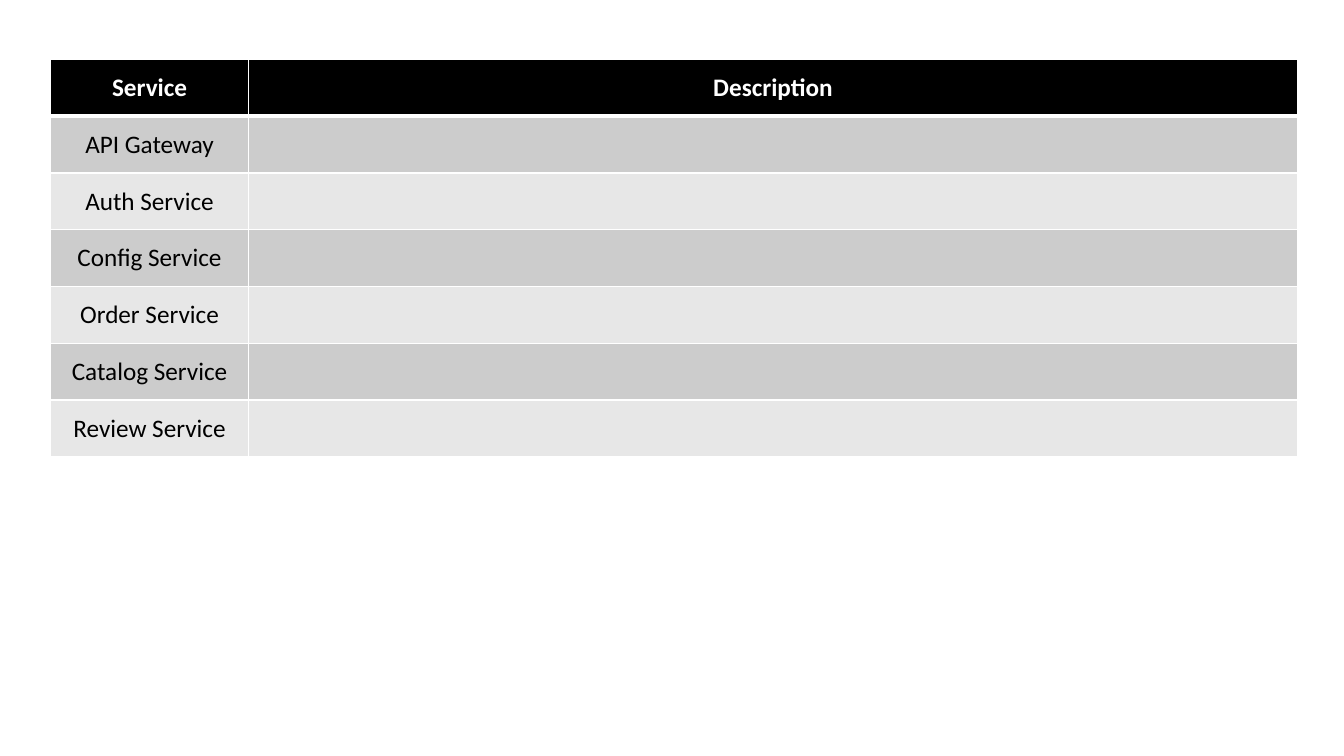
import pptx
import pptx.dml.color
import pptx.enum.text
import pptx.oxml.ns
import pptx.util
from lxml import etree
from pptx.util import Cm

COLOURS = {
    "header": "000000",
    "header_text": "FFFFFF",
    "odd_row": "CCCCCC",
    "even_row": "E7E7E7",
    "body_text": "000000",
    "border": "FFFFFF",
}
HEADINGS = ["Service", "Description"]
SERVICES = ["API Gateway", "Auth Service", "Config Service",
            "Order Service", "Catalog Service", "Review Service"]
COLUMN_WIDTHS = [Cm(5), Cm(26.42)]
ROW_HEIGHT = Cm(1.43)
THIN, THICK = 1, 3


def rgb(name):
    return pptx.dml.color.RGBColor.from_string(COLOURS[name])


def add_borders(cell, top, bottom):
    """Draw the four cell borders; the sides are thin, widths are in points."""
    properties = cell._tc.get_or_add_tcPr()
    qn = pptx.oxml.ns.qn
    for side, width in (("L", THIN), ("R", THIN), ("T", top), ("B", bottom)):
        line = etree.SubElement(properties, qn(f"a:ln{side}"),
                                w=str(pptx.util.Pt(width)))
        fill = etree.SubElement(line, qn("a:solidFill"))
        etree.SubElement(fill, qn("a:srgbClr"), val=COLOURS["border"])


def format_cell(cell, fill, text_colour, bold):
    cell.fill.solid()
    cell.fill.fore_color.rgb = rgb(fill)
    cell.vertical_anchor = pptx.enum.text.MSO_ANCHOR.MIDDLE
    paragraph = cell.text_frame.paragraphs[0]
    paragraph.alignment = pptx.enum.text.PP_ALIGN.CENTER
    for run in paragraph.runs:
        run.font.name = "Calibri"
        run.font.size = pptx.util.Pt(18)
        run.font.bold = bold
        run.font.color.rgb = rgb(text_colour)


def add_service_table(slide):
    rows = [HEADINGS] + [[service, ""] for service in SERVICES]
    services = slide.shapes.add_table(
        len(rows), len(HEADINGS), Cm(1.27), Cm(1.5),
        sum(COLUMN_WIDTHS), ROW_HEIGHT * len(rows)).table
    for column, width in zip(services.columns, COLUMN_WIDTHS):
        column.width = width
    for index, labels in enumerate(rows):
        services.rows[index].height = ROW_HEIGHT
        is_header = index == 0
        band = "odd_row" if index % 2 else "even_row"
        for cell, label in zip(services.rows[index].cells, labels):
            if label:
                cell.text_frame.text = label
            add_borders(cell, top=THICK if index == 1 else THIN,
                        bottom=THICK if is_header else THIN)
            format_cell(cell, "header" if is_header else band,
                        "header_text" if is_header else "body_text", is_header)


def main():
    presentation = pptx.Presentation()
    presentation.slide_width = Cm(33.87)
    presentation.slide_height = Cm(19.05)
    slide = presentation.slides.add_slide(presentation.slide_layouts[6])
    add_service_table(slide)
    presentation.save("out.pptx")


if __name__ == "__main__":
    main()
